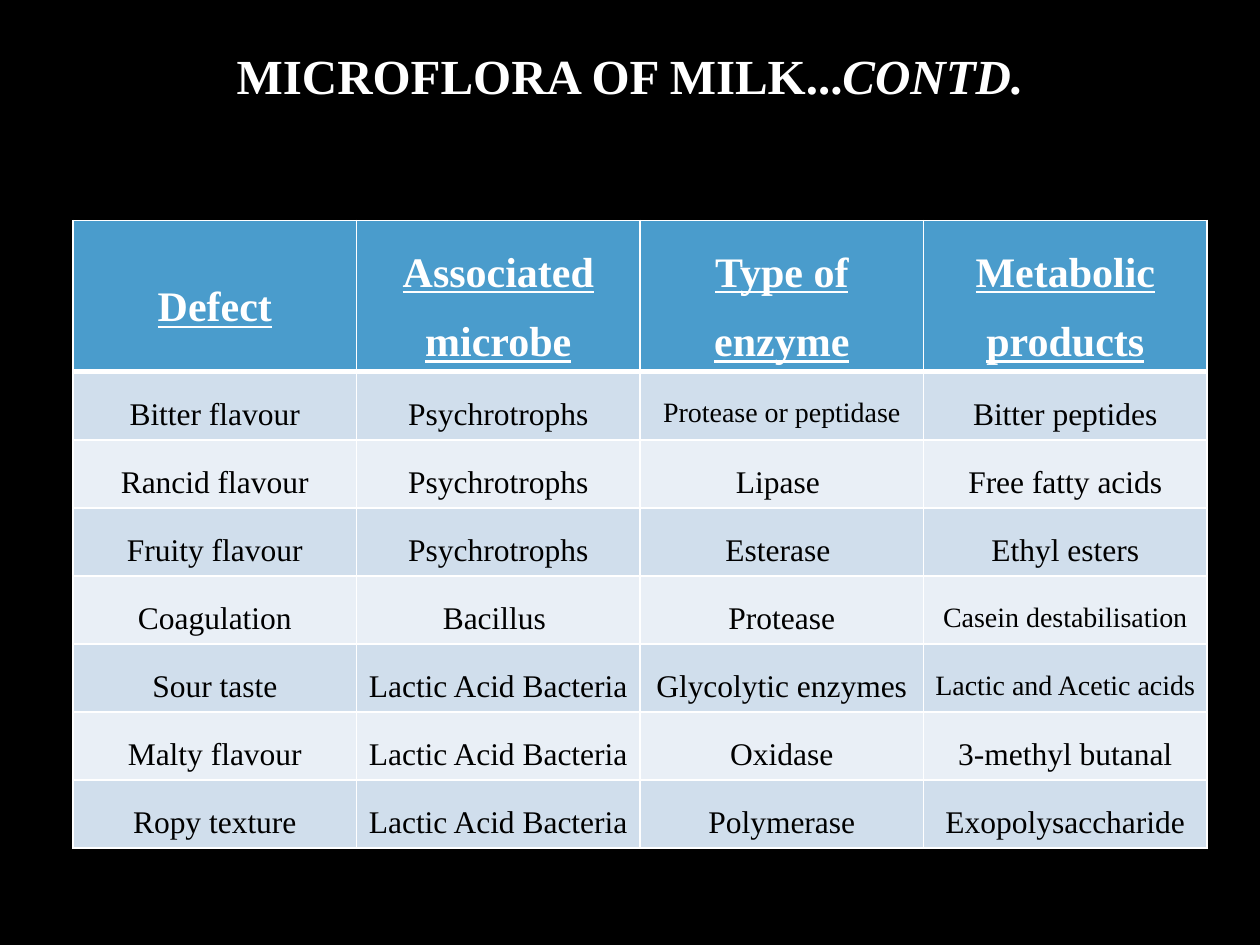
from dataclasses import dataclass
from lxml.etree import SubElement as Sub
from pptx import Presentation
from pptx.dml.color import RGBColor as RGB
from pptx.enum.text import MSO_ANCHOR as Anchor, PP_ALIGN as Align
from pptx.oxml.ns import qn
from pptx.util import Inches, Pt


@dataclass(frozen=True)
class Theme:
    """Hold the colours, font and type sizes."""
    back: str = "000000"
    ink: str = "000000"
    light: str = "FFFFFF"
    head: str = "4A9CCC"
    bands: tuple = ("D0DEEC", "E9EFF6")
    font: str = "Times New Roman"
    title: int = 28
    label: int = 24
    body: int = 18
    small: int = 16
    thin: int = 1
    thick: int = 3


T = Theme()
WIDE, HIGH = Inches(10), Inches(7.5)
ROW = Inches(0.54)
HEADS = ("Defect", "Associated microbe", "Type of enzyme", "Metabolic products")
ROWS = (
    ("Bitter flavour", "Psychrotrophs", "Protease or peptidase", "Bitter peptides"),
    ("Rancid flavour", "Psychrotrophs", "Lipase ", "Free fatty acids"),
    ("Fruity flavour", "Psychrotrophs", "Esterase ", "Ethyl esters"),
    ("Coagulation", "Bacillus ", "Protease", "Casein destabilisation"),
    ("Sour taste", "Lactic Acid Bacteria", "Glycolytic enzymes", "Lactic and Acetic acids"),
    ("Malty flavour", "Lactic Acid Bacteria", "Oxidase", "3-methyl butanal"),
    ("Ropy texture", "Lactic Acid Bacteria", "Polymerase", "Exopolysaccharide"),
)
SMALL = {"Protease or peptidase", "Casein destabilisation", "Lactic and Acetic acids"}


def box(left, top, wide, high):
    """Turn shares of the slide's size into lengths."""
    return int(left * WIDE), int(top * HIGH), int(wide * WIDE), int(high * HIGH)


def add_run(para, text, size, hue, bold=False, slant=False, under=False):
    """Add one styled run to a paragraph."""
    run = para.add_run()
    run.text = text
    font = run.font
    font.name, font.size = T.font, Pt(size)
    font.bold, font.italic, font.underline = bold, slant, under
    font.color.rgb = RGB.from_string(hue)


def edge(cell, side, width):
    """Draw one side of a cell's border."""
    line = Sub(cell._tc.get_or_add_tcPr(), qn("a:ln" + side), w=str(Pt(width)))
    fill = Sub(line, qn("a:solidFill"))
    Sub(fill, qn("a:srgbClr"), val=T.light)


def add_title(slide, area):
    """Place the slide title in its box."""
    frame = slide.shapes.add_textbox(*area).text_frame
    frame.word_wrap = True
    frame.vertical_anchor = Anchor.MIDDLE
    para = frame.paragraphs[0]
    para.alignment, para.line_spacing = Align.CENTER, 0.9
    add_run(para, "MICROFLORA OF MILK...", T.title, T.light, bold=True)
    add_run(para, "CONTD.", T.title, T.light, bold=True, slant=True)


def fill_cell(cell, text, row):
    """Set the text, borders and fill of one cell."""
    head = row == 0
    cell.vertical_anchor = Anchor.MIDDLE
    cell.margin_left = cell.margin_right = Inches(0.07)
    cell.margin_top = cell.margin_bottom = 0
    para = cell.text_frame.paragraphs[0]
    para.alignment, para.line_spacing = Align.CENTER, 1.5
    if head:
        add_run(para, text, T.label, T.light, bold=True, under=True)
    else:
        add_run(para, text, T.small if text in SMALL else T.body, T.ink)
    for side in "LRTB":
        edge(cell, side, T.thick if (row, side) in ((0, "B"), (1, "T")) else T.thin)
    cell.fill.solid()
    hue = T.head if head else T.bands[(row - 1) % 2]
    cell.fill.fore_color.rgb = RGB.from_string(hue)


def add_grid(slide, area):
    """Place the table of defects in its box."""
    data = (HEADS, *ROWS)
    frame = slide.shapes.add_table(len(data), len(HEADS), *area)
    grid = frame.table
    for r, texts in enumerate(data):
        grid.rows[r].height = ROW
        for c, text in enumerate(texts):
            fill_cell(grid.cell(r, c), text, r)
    frame.height = area[3]


def main():
    """Build and save the slide."""
    deck = Presentation()
    deck.slide_width, deck.slide_height = WIDE, HIGH
    slide = deck.slides.add_slide(deck.slide_layouts[6])
    back = slide.background.fill
    back.solid()
    back.fore_color.rgb = RGB.from_string(T.back)
    add_title(slide, box(0.05, 0.25 / 7.5, 0.9, 0.1))
    add_grid(slide, box(0.058, 1.75 / 7.5, 0.9, 4.92 / 7.5))
    deck.save("out.pptx")


if __name__ == "__main__":
    main()
